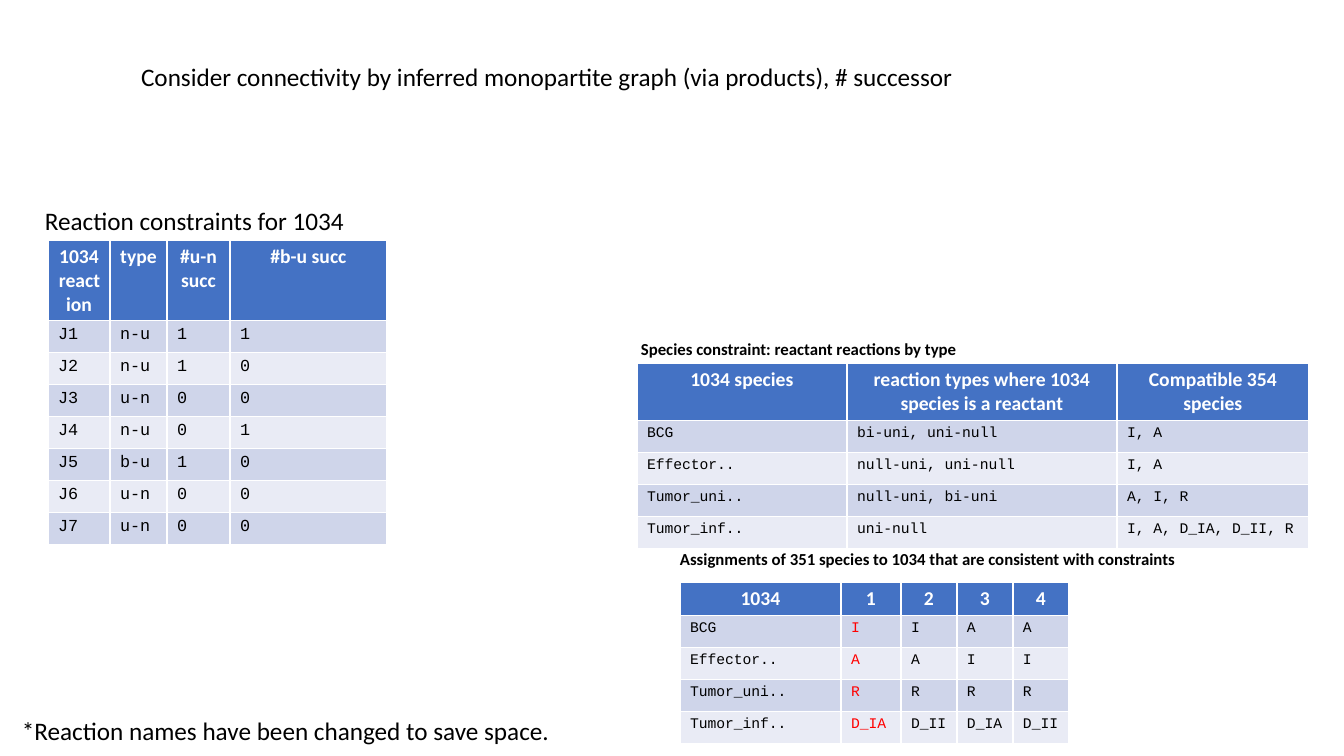
"""Build the slide of reaction and species constraints for model 1034."""
from dataclasses import dataclass

from pptx import Presentation
from pptx.dml.color import RGBColor
from pptx.enum.text import MSO_ANCHOR, MSO_AUTO_SIZE, PP_ALIGN
from pptx.util import Pt

LEFT, CENTER = PP_ALIGN.LEFT, PP_ALIGN.CENTER
TOP = MSO_ANCHOR.TOP
GROW = MSO_AUTO_SIZE.SHAPE_TO_FIT_TEXT
PX = 914400 / 100.8
ROW_HEIGHT = 32


@dataclass(frozen=True)
class Theme:
    black: str = "000000"
    white: str = "FFFFFF"
    red: str = "FF0000"
    header: str = "4472C4"
    bands: tuple = ("CFD5EA", "E9EBF5")
    sans: str = "Calibri"
    mono: str = "Courier New"
    text: float = 18
    heading: float = 14
    caption: float = 12
    reaction: float = 12
    species: float = 10.5


theme = Theme()


def px(*lengths):
    return [round(length * PX) for length in lengths]


def write(frame, text, size, color=theme.black, font=theme.sans, bold=False, align=LEFT):
    para = frame.paragraphs[0]
    para.alignment = align
    span = para.add_run()
    span.text = text
    span.font.size = Pt(size)
    span.font.name = font
    span.font.bold = bold
    span.font.color.rgb = RGBColor.from_string(color)


deck = Presentation()
deck.slide_width, deck.slide_height = px(1344, 756)
page = deck.slides.add_slide(deck.slide_layouts[5])

title = page.shapes.title
title.left, title.top, title.width, title.height = px(131, 56, 842, 40)
title.text_frame.word_wrap = False
title.text_frame.auto_size = GROW
title.text_frame.vertical_anchor = TOP
write(title.text_frame,
      "Consider connectivity by inferred monopartite graph (via products), # successor",
      theme.text)

labels = [
    ("Reaction constraints for 1034", (35, 200, 323, 40), theme.text, False),
    ("*Reaction names have been changed to save space.", (12, 710, 554, 40), theme.text, False),
    ("Species constraint: reactant reactions by type", (631, 334, 339, 30), theme.caption, True),
    ("Assignments of 351 species to 1034 that are consistent with constraints",
     (670, 544, 522, 30), theme.caption, True),
]
for text, place, size, bold in labels:
    box = page.shapes.add_textbox(*px(*place))
    box.text_frame.word_wrap = False
    box.text_frame.auto_size = GROW
    write(box.text_frame, text, size, bold=bold)

reactions = [
    ("1034 reaction", "type", "#u-n succ", "#b-u succ"),
    ("J1", "n-u", "1", "1"),
    ("J2", "n-u", "1", "0"),
    ("J3", "u-n", "0", "0"),
    ("J4", "n-u", "0", "1"),
    ("J5", "b-u", "1", "0"),
    ("J6", "u-n", "0", "0"),
    ("J7", "u-n", "0", "0"),
]
reactants = [
    ("1034 species", "reaction types where 1034 species is a reactant", "Compatible 354 species"),
    ("BCG", "bi-uni, uni-null", "I, A"),
    ("Effector..", "null-uni, uni-null", "I, A"),
    ("Tumor_uni..", "null-uni, bi-uni", "A, I, R"),
    ("Tumor_inf..", "uni-null", "I, A, D_IA, D_II, R"),
]
assignments = [
    ("1034", "1", "2", "3", "4"),
    ("BCG", "I", "I", "A", "A"),
    ("Effector..", "A", "A", "I", "I"),
    ("Tumor_uni..", "R", "R", "R", "R"),
    ("Tumor_inf..", "D_IA", "D_II", "D_IA", "D_II"),
]
tables = [
    (reactions, 48, 240, (62, 57, 63, 157), 80, theme.reaction, None),
    (reactants, 637, 363, (210, 270, 192), 56, theme.species, None),
    (assignments, 680, 582, (161, 60, 56, 56, 56), ROW_HEIGHT, theme.species, 1),
]
for rows, left, top, widths, header_height, size, red_column in tables:
    height = header_height + ROW_HEIGHT * (len(rows) - 1)
    place = px(left, top, sum(widths), height)
    table = page.shapes.add_table(len(rows), len(widths), *place).table
    for column, width in zip(table.columns, px(*widths)):
        column.width = width
    for r, values in enumerate(rows):
        table.rows[r].height = px(ROW_HEIGHT if r else header_height)[0]
        for c, value in enumerate(values):
            cell = table.cell(r, c)
            fill = theme.bands[(r - 1) % 2] if r else theme.header
            cell.fill.solid()
            cell.fill.fore_color.rgb = RGBColor.from_string(fill)
            if r:
                color = theme.red if c == red_column else theme.black
                write(cell.text_frame, value, size, color=color, font=theme.mono)
            else:
                write(cell.text_frame, value, theme.heading, color=theme.white,
                      bold=True, align=CENTER)

deck.save("out.pptx")
